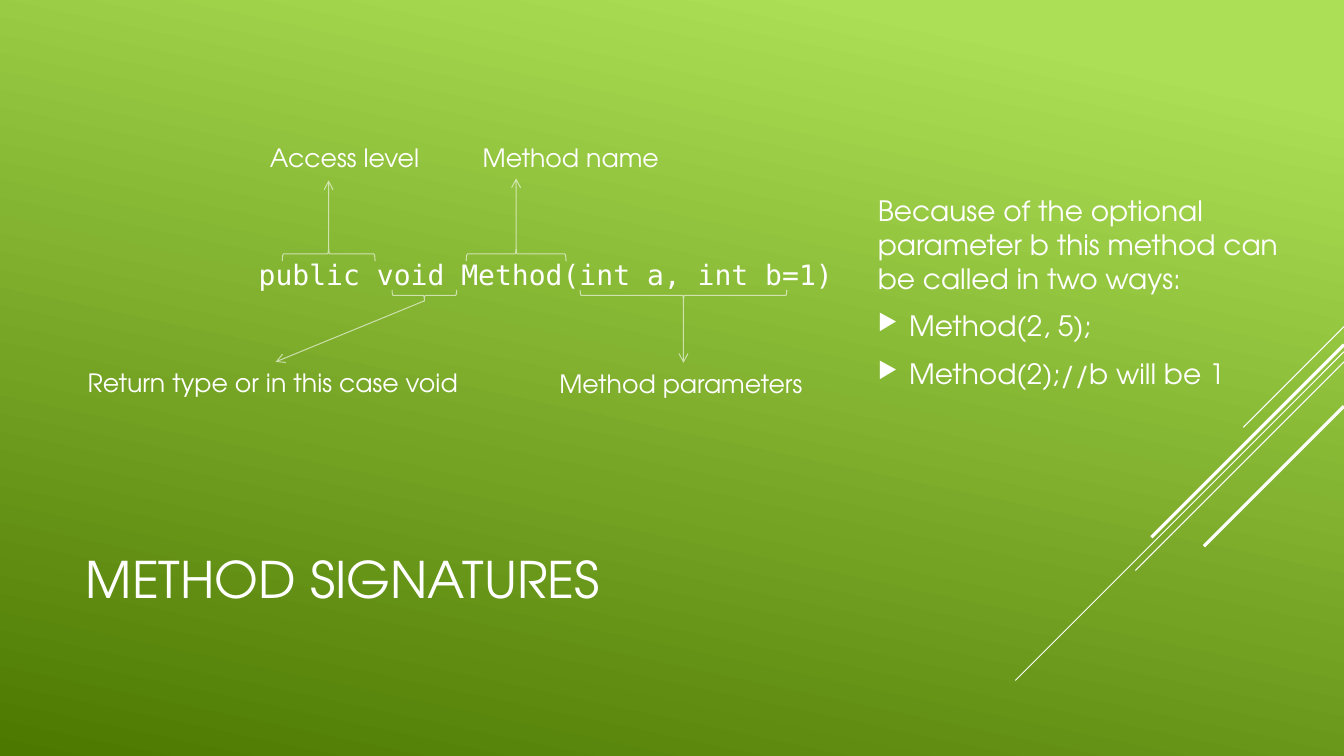
import lxml.etree
import pptx
import pptx.dml.color
import pptx.enum.shapes
import pptx.enum.text
import pptx.oxml.ns
import pptx.util

# The slide is a grid of quarter-inch cells
COLS, ROWS = 53.33, 30
COLORS = {"text": "FFFFFF", "line": "FFFFFF", "bg_top": "ACDF55", "bg_bottom": "4C7800"}
SANS, MONO = "TeX Gyre Adventor", "DejaVu Sans Mono"
ALIGN = pptx.enum.text.PP_ALIGN
ANCHOR = pptx.enum.text.MSO_ANCHOR

# Code diagram: brace middle and span in columns
UPPER_ROW, LOWER_ROW = 10.08, 11.72
UPPER_DEPTH, LOWER_DEPTH = 0.56, 0.44
UPPER_PARTS = [
    ("Access level", 13.04, 3.68, 10.32, 6.88, 7.16),
    ("Method name", 20.48, 3.96, 18.76, 7.88, 7.08),
]
LOWER_PARTS = [
    ("Return type or in this case void", 16.84, 2.56, 3.08, 15.72, 14.36),
    ("Method parameters", 27.12, 8.2, 21.8, 10.64, 14.4),
]
# Corner stripes: row at the right edge, length, width in points
STRIPES = [
    (12.96, 4, 0.75),
    (13.96, 13.04, 0.75),
    (14.36, 8.28, 0.75),
    (13.68, 7.64, 2.25),
    (16.12, 5.56, 2.25),
]


def cells(n):
    return pptx.util.Inches(n * 0.25)


def color(name):
    return pptx.dml.color.RGBColor.from_string(COLORS[name])


def add_xml(parent, tag, **attrs):
    return lxml.etree.SubElement(parent, pptx.oxml.ns.qn(tag), **attrs)


def write(tf, lines, size=18, font=SANS, align=ALIGN.LEFT, anchor=ANCHOR.TOP,
          before=0, after=0, wrap=True, bullets_from=None):
    tf.word_wrap = wrap
    tf.vertical_anchor = anchor
    for i, line in enumerate(lines):
        p = tf.paragraphs[0] if i == 0 else tf.add_paragraph()
        p.alignment = align
        p.space_before, p.space_after = pptx.util.Pt(before), pptx.util.Pt(after)
        r = p.add_run()
        r.text = line
        r.font.size, r.font.name = pptx.util.Pt(size), font
        r.font.color.rgb = color("text")
        if bullets_from is not None and i >= bullets_from:
            add_bullet(p)


def add_bullet(p):
    pPr = p._p.get_or_add_pPr()
    indent = pptx.util.Inches(0.31)
    pPr.set("marL", str(indent))
    pPr.set("indent", str(-indent))
    add_xml(add_xml(pPr, "a:buClr"), "a:srgbClr", val=COLORS["text"])
    add_xml(pPr, "a:buSzPct", val="80000")
    add_xml(pPr, "a:buChar", char="▶")


def add_text(slide, left, top, width, height, lines, **fmt):
    box = slide.shapes.add_textbox(*map(cells, (left, top, width, height)))
    write(box.text_frame, lines, **fmt)
    return box


def style_line(sp, width=0.75, opacity=100):
    sp.line.color.rgb = color("line")
    sp.line.width = pptx.util.Pt(width)
    if opacity < 100:
        rgb = sp._element.spPr.xpath("./a:ln//a:srgbClr")[0]
        add_xml(rgb, "a:alpha", val=str(opacity * 1000))


def add_line(slide, x1, y1, x2, y2, arrow=False, **style):
    line = slide.shapes.add_connector(
        pptx.enum.shapes.MSO_CONNECTOR.STRAIGHT, *map(cells, (x1, y1, x2, y2)))
    style_line(line, **style)
    spPr = line._element.spPr
    if arrow:
        add_xml(spPr.xpath("./a:ln")[0], "a:tailEnd", type="arrow")
    add_xml(spPr, "a:effectLst")
    return line


def add_brace(slide, x, y, span, depth, rotation):
    sp = slide.shapes.add_shape(
        pptx.enum.shapes.MSO_SHAPE.LEFT_BRACE,
        *map(cells, (x - depth / 2, y - span / 2, depth, span)))
    sp.rotation = rotation
    sp.shadow.inherit = False
    sp.fill.background()
    style_line(sp, opacity=60)


def add_label(slide, text, left, top, width):
    box = add_text(slide, left, top, width, 1.6, [text], wrap=False)
    box.text_frame.auto_size = pptx.enum.text.MSO_AUTO_SIZE.SHAPE_TO_FIT_TEXT
    return box


def add_background(slide):
    fill = slide.background.fill
    fill.gradient()
    fill.gradient_angle = 360 - 102
    for stop, position, name in zip(fill.gradient_stops, (0.1, 1), ("bg_top", "bg_bottom")):
        stop.position = position
        stop.color.rgb = color(name)


def add_title(slide, text):
    title = slide.shapes.title
    title.left, title.top, title.width, title.height = map(cells, (3, 19.64, 37.32, 6.6))
    write(title.text_frame, [text], size=36, anchor=ANCHOR.MIDDLE)


def add_diagram(slide):
    add_text(slide, 3, 3, 37.32, 15.8, ["public void Method(int a, int b=1)"], size=20,
             font=MONO, align=ALIGN.CENTER, anchor=ANCHOR.MIDDLE, before=4, after=6)
    # Parts named above the code
    for text, x, span, left, width, tip in UPPER_PARTS:
        add_brace(slide, x, UPPER_ROW, span, UPPER_DEPTH, 90)
        add_line(slide, x, UPPER_ROW - UPPER_DEPTH / 2, x, tip, arrow=True, opacity=60)
        add_label(slide, text, left, 5.44, width)
    # Parts named below the code, arrows joined to their labels
    for text, x, span, left, width, top in LOWER_PARTS:
        add_brace(slide, x, LOWER_ROW, span, LOWER_DEPTH, 270)
        label = add_label(slide, text, left, top, width)
        arrow = add_line(slide, x, LOWER_ROW + LOWER_DEPTH / 2, left + width / 2, top,
                         arrow=True, opacity=60)
        arrow.end_connect(label, 0)


def main():
    prs = pptx.Presentation()
    prs.slide_width, prs.slide_height = cells(COLS), cells(ROWS)
    slide = prs.slides.add_slide(prs.slide_layouts[5])
    add_background(slide)
    # Diagonal stripes in the corner
    for row, length, width in STRIPES:
        add_line(slide, COLS, row, COLS - length, row + length, width=width)
    add_title(slide, "METHOD SIGNATURES")
    add_diagram(slide)
    # Explanation on the right
    add_text(slide, 34.44, 3.68, 17.08, 15.8,
             ["Because of the optional parameter b this method can be called in two ways:",
              "Method(2, 5);",
              "Method(2);//b will be 1"],
             size=20, anchor=ANCHOR.MIDDLE, before=4, after=6, bullets_from=1)
    prs.save("out.pptx")


if __name__ == "__main__":
    main()
